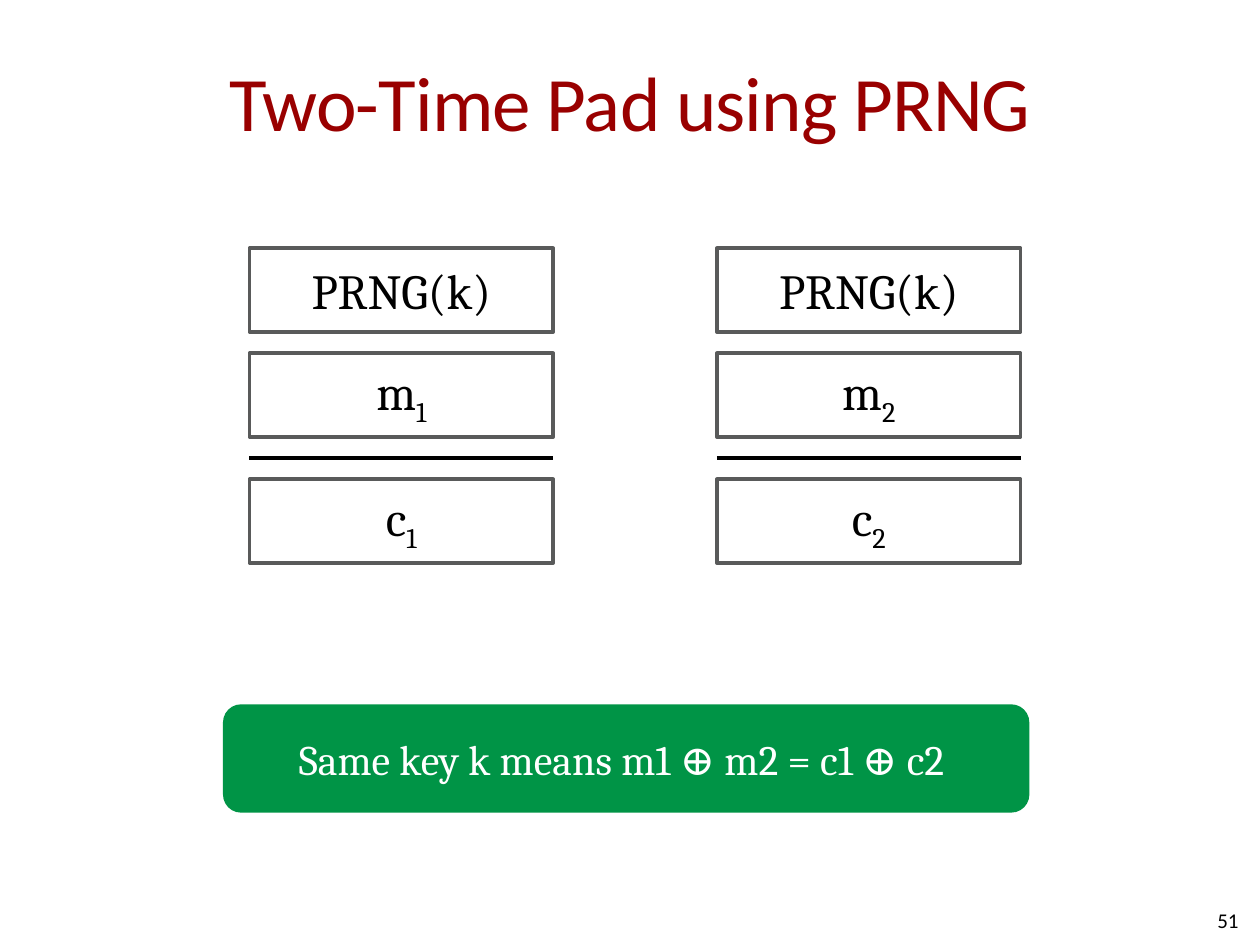
from dataclasses import dataclass
from lxml.etree import SubElement
from pptx import Presentation
from pptx.dml.color import RGBColor
from pptx.enum.shapes import MSO_CONNECTOR as Connector, MSO_SHAPE as Shape
from pptx.enum.text import MSO_ANCHOR as Anchor, PP_ALIGN as Align
from pptx.oxml.ns import qn
from pptx.util import Inches, Pt


@dataclass(frozen=True)
class Theme:
    heading_font: str = "Calibri"
    body_font: str = "Cambria"
    title_size: float = 44
    block_size: float = 28
    banner_size: float = 24
    number_size: float = 12
    title_color: str = "990000"
    ink: str = "000000"
    paper: str = "FFFFFF"
    border: str = "595A5A"
    banner: str = "009446"
    border_width: float = 2
    rule_width: float = 2.25
    subscript: int = -25000
    tracking: int = -50


@dataclass(frozen=True)
class Box:
    left: float
    top: float
    width: float
    height: float

    def emu(self):
        return [Inches(v) for v in (self.left, self.top, self.width, self.height)]

    def rows(self, start, count, total):
        row = self.height / total
        return Box(self.left, self.top + start * row, self.width, count * row)


THEME = Theme()
BLOCK_ROWS = 4
GRID_ROWS = 15


def rgb(color):
    return RGBColor.from_string(color)


def write(shape, text, font, size, color, align=Align.CENTER, subscript="", spacing=0):
    frame = shape.text_frame
    frame.word_wrap = True
    frame.vertical_anchor = Anchor.MIDDLE
    frame.margin_left = frame.margin_right = 0
    frame.margin_top = frame.margin_bottom = 0
    para = frame.paragraphs[0]
    para.alignment = align
    para.font.name = font
    para.font.size = Pt(size)
    para.font.color.rgb = rgb(color)
    span = para.add_run()
    span.text = text
    if spacing:
        span._r.get_or_add_rPr().set("spc", str(spacing))
    if subscript:
        index = para.add_run()
        index.text = subscript
        index._r.get_or_add_rPr().set("baseline", str(THEME.subscript))


def add_panel(page, box, kind, fill, border=None):
    panel = page.shapes.add_shape(kind, *box.emu())
    panel.shadow.inherit = False
    panel.fill.solid()
    panel.fill.fore_color.rgb = rgb(fill)
    if border:
        panel.line.color.rgb = rgb(border)
        panel.line.width = Pt(THEME.border_width)
    else:
        panel.line.fill.background()
    return panel


def add_title(page, box, text):
    title = page.shapes.add_textbox(*box.emu())
    write(title, text, THEME.heading_font, THEME.title_size, THEME.title_color,
          spacing=THEME.tracking)


def add_page_number(page, box, text):
    number = page.shapes.add_textbox(*box.emu())
    write(number, text, THEME.heading_font, THEME.number_size, THEME.ink, Align.RIGHT)


def add_rule(page, box):
    left, top, width, _ = box.emu()
    rule = page.shapes.add_connector(Connector.STRAIGHT, left, top, left + width, top)
    rule.line.color.rgb = rgb(THEME.ink)
    rule.line.width = Pt(THEME.rule_width)
    SubElement(rule._element.spPr, qn("a:effectLst"))


def add_encryption(page, box, index):
    blocks = [(0, "PRNG(k)", ""), (5, "m", index), (11, "c", index)]
    for row, text, subscript in blocks:
        block_box = box.rows(row, BLOCK_ROWS, GRID_ROWS)
        block = add_panel(page, block_box, Shape.RECTANGLE, THEME.paper, THEME.border)
        write(block, text, THEME.body_font, THEME.block_size, THEME.ink,
              subscript=subscript)
    add_rule(page, box.rows(10, 0, GRID_ROWS))


def add_banner(page, box, text):
    banner = add_panel(page, box, Shape.ROUNDED_RECTANGLE, THEME.banner)
    write(banner, text, THEME.body_font, THEME.banner_size, THEME.paper)


def main():
    deck = Presentation()
    deck.slide_width, deck.slide_height = Inches(10), Inches(7.5)
    page = deck.slides.add_slide(deck.slide_layouts[6])
    add_title(page, Box(0.5, 0.17, 9, 1.25), "Two-Time Pad using PRNG")
    add_page_number(page, Box(7.5, 7.1, 2.33, 0.4), "51")
    for column, index in enumerate("12"):
        add_encryption(page, Box(1.98 + column * 3.71, 1.97, 2.41, 2.5), index)
    add_banner(page, Box(1.77, 5.59, 6.4, 0.86), "Same key k means m1 ⊕ m2 = c1 ⊕ c2 ")
    deck.save("out.pptx")


if __name__ == "__main__":
    main()
